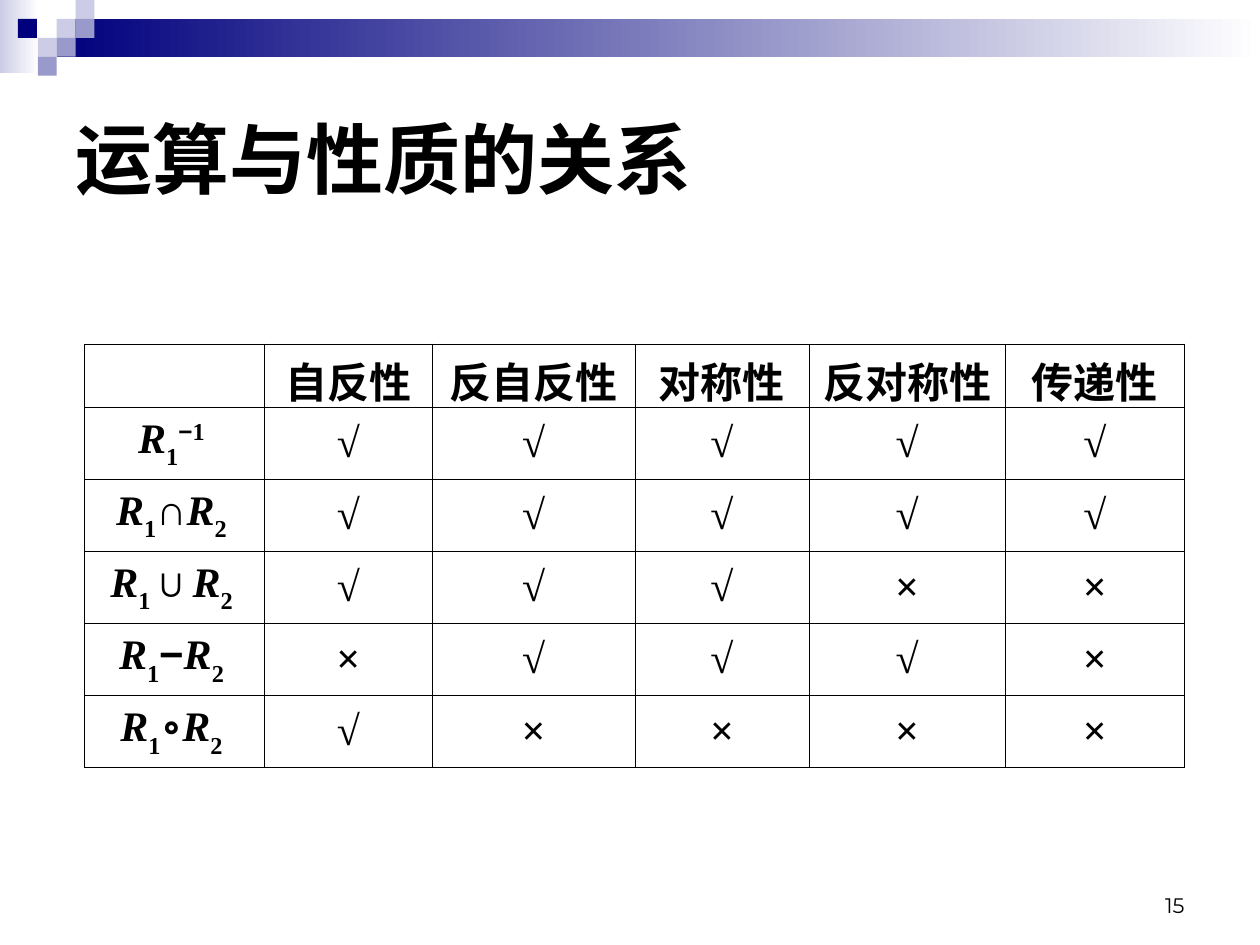
import pptx
import pptx.util
import pptx.dml.color
import pptx.enum.shapes
import pptx.enum.text
import pptx.oxml.ns
from lxml import etree

Inch, Pt = pptx.util.Inches, pptx.util.Pt
ALIGN, ANCHOR = pptx.enum.text.PP_ALIGN, pptx.enum.text.MSO_ANCHOR
HUES = {"navy": "00007D", "mid": "9999CC", "pale": "CCCCE6",
        "white": "FFFFFF", "ink": "000000"}


def style(run, name, size, bold=False):
    font = run.font
    font.name, font.size, font.bold = name, Pt(size), bold
    font.color.rgb = pptx.dml.color.RGBColor.from_string(HUES["ink"])


def block(left, top, wide, high, *hues):
    box = slide.shapes.add_shape(pptx.enum.shapes.MSO_SHAPE.RECTANGLE,
                                 Inch(left), Inch(top), Inch(wide), Inch(high))
    box.shadow.inherit = False
    box.line.fill.background()
    tones = [pptx.dml.color.RGBColor.from_string(HUES[h]) for h in hues]
    if len(tones) == 1:
        box.fill.solid()
        box.fill.fore_color.rgb = tones[0]
    else:
        box.fill.gradient()
        box.fill.gradient_angle = 0
        for stop, tone in zip(box.fill.gradient_stops, tones):
            stop.color.rgb = tone


deck = pptx.Presentation()
deck.slide_width, deck.slide_height = Inch(10), Inch(7.5)
slide = deck.slides.add_slide(deck.slide_layouts[5])

# Top band: two fades, then squares on a grid of columns and rows
UNIT = 0.15
block(0, 0, 0.31, 0.58, "pale", "white")
block(3 * UNIT, UNIT, 10 - 3 * UNIT, 2 * UNIT, "navy", "white")
for col, row, hue in [(3, 1, "pale"), (4, 0, "pale"), (4, 1, "mid"),
                      (2, 2, "pale"), (0.95, 1, "navy"), (3, 2, "mid"),
                      (2, 3, "mid")]:
    block(col * UNIT, row * UNIT, UNIT, UNIT, hue)

# Title
title = slide.shapes.title
title.left, title.top = Inch(0.5), Inch(0.5)
title.width, title.height = Inch(9), Inch(1.5)
frame = title.text_frame
frame.text = "运算与性质的关系"
frame.vertical_anchor = ANCHOR.MIDDLE
frame.paragraphs[0].alignment = ALIGN.LEFT
style(frame.paragraphs[0].runs[0], "Arial", 44, True)

# Page number
page = slide.shapes.add_textbox(Inch(7.17), Inch(6.83), Inch(2.33), Inch(0.5))
frame = page.text_frame
frame.word_wrap = True
frame.text = "15"
frame.vertical_anchor = ANCHOR.BOTTOM
frame.paragraphs[0].alignment = ALIGN.RIGHT
style(frame.paragraphs[0].runs[0], "Montserrat", 12)

# Table content: a row label is a list of (text, baseline) parts
SUB, SUP = -30, 30
heads = ["自反性", "反自反性", "对称性", "反对称性", "传递性"]
first = [("R", 0), ("1", SUB)]
last = [("R", 0), ("2 ", SUB)]
labels = [first + [("−", SUP), ("1 ", SUP)]]
labels += [first + [(sign, 0)] + last for sign in "∩∪−∘"]
marks = ["√√√√√", "√√√√√", "√√√××", "×√√√×", "√××××"]
rows = [[[]] + [[(head, 0)] for head in heads]]
rows += [[label] + [[(mark, 0)] for mark in line]
         for label, line in zip(labels, marks)]

# Table
wides = [1.43, 1.33, 1.61, 1.38, 1.56, 1.42]
highs = [0.5] + [0.57] * 5
grid = slide.shapes.add_table(len(highs), len(wides), Inch(0.67), Inch(2.73),
                              Inch(sum(wides)), Inch(sum(highs))).table
grid.first_row = grid.horz_banding = False
for col, wide in zip(grid.columns, wides):
    col.width = Inch(wide)
for row, high in zip(grid.rows, highs):
    row.height = Inch(high)

for r, line in enumerate(rows):
    for c, parts in enumerate(line):
        cell = grid.cell(r, c)
        cell.vertical_anchor = ANCHOR.MIDDLE
        para = cell.text_frame.paragraphs[0]
        para.alignment = ALIGN.CENTER
        for text, base in parts:
            run = para.add_run()
            run.text = text
            style(run, "Arial" if text == "−" else "Times New Roman", 24, True)
            run.font.italic = text == "R"
            if base:
                run._r.get_or_add_rPr().set("baseline", str(base * 1000))
        # Borders: thinner on the outer edge
        props = cell._tc.get_or_add_tcPr()
        edges = {"L": c == 0, "R": c == len(wides) - 1,
                 "T": r == 0, "B": r == len(highs) - 1}
        for side, outer in edges.items():
            rule = etree.SubElement(props, pptx.oxml.ns.qn("a:ln" + side),
                                    w=str(Pt(0.34 if outer else 0.45)))
            fill = etree.SubElement(rule, pptx.oxml.ns.qn("a:solidFill"))
            etree.SubElement(fill, pptx.oxml.ns.qn("a:srgbClr"), val=HUES["ink"])
        cell.fill.background()

deck.save("out.pptx")
